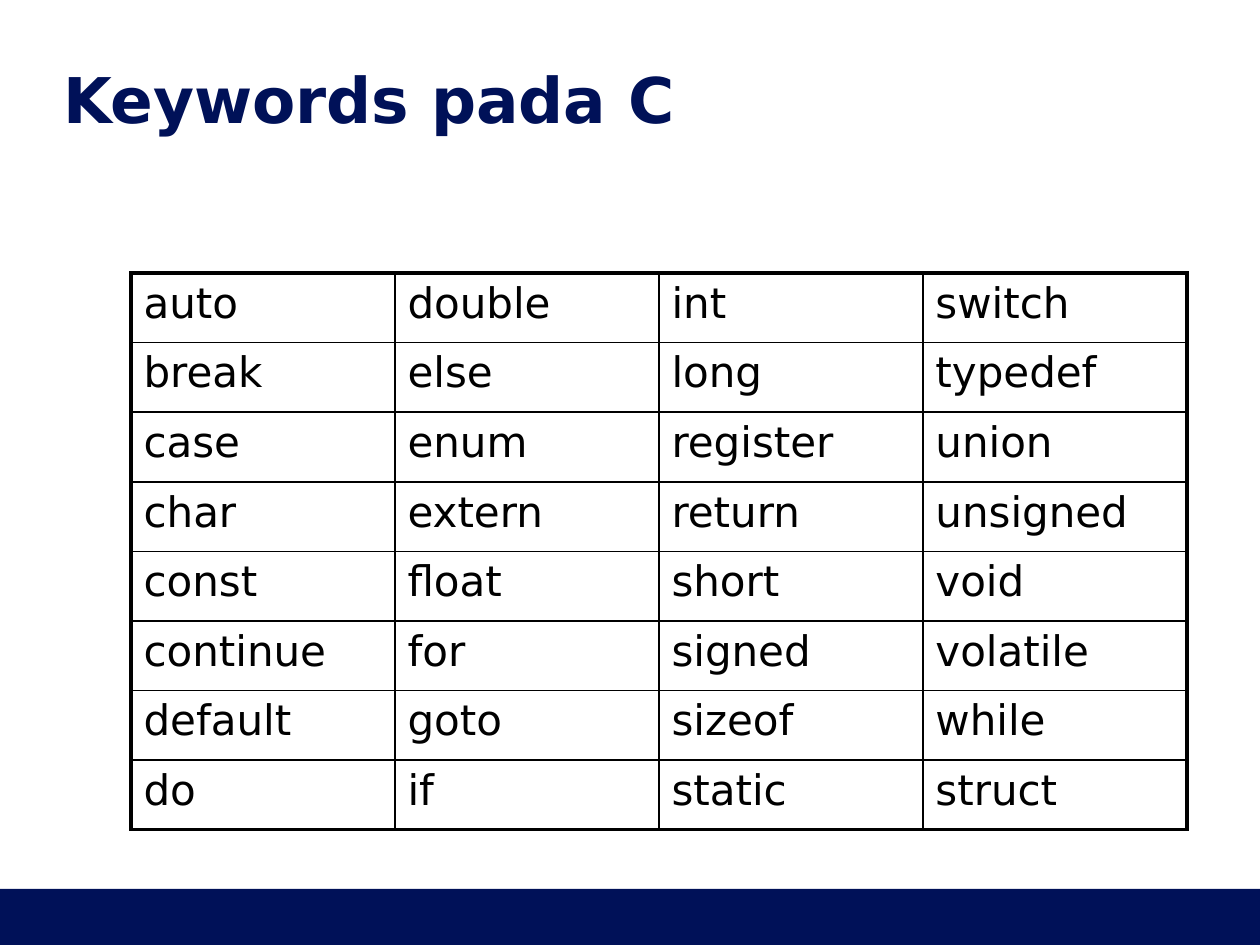
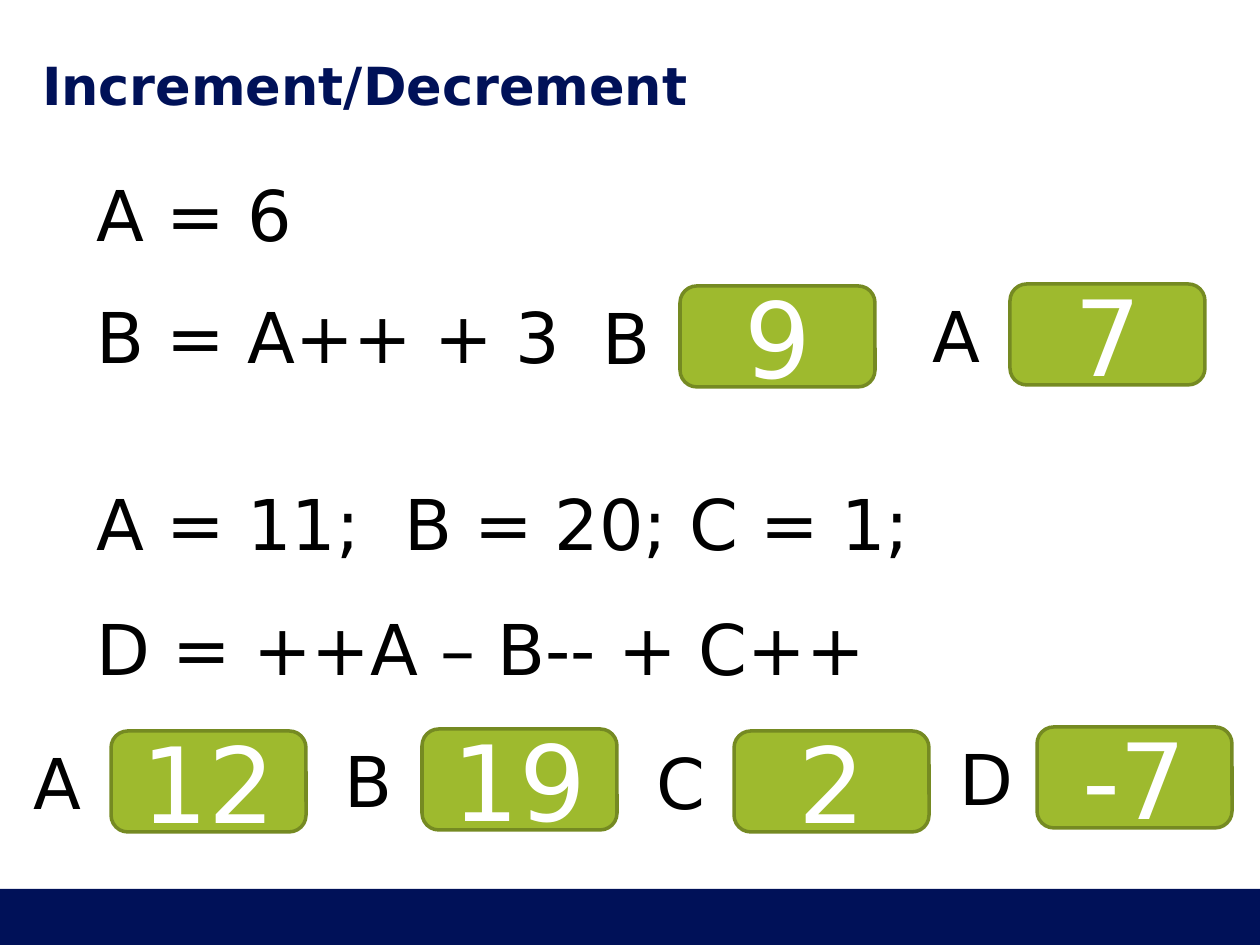
"""Build two slides on C: its keywords, and increment and decrement."""
from lxml.etree import SubElement
from pptx import Presentation
from pptx.dml.color import RGBColor
from pptx.enum.shapes import MSO_SHAPE
from pptx.enum.text import MSO_ANCHOR, MSO_AUTO_SIZE, PP_ALIGN
from pptx.oxml.ns import qn
from pptx.util import Emu, Pt

FONT = "DejaVu Sans"
NAVY, BLACK, WHITE = "001158", "000000", "FFFFFF"
GREEN, OLIVE = "9EBA2E", "758A22"
WIDE, HIGH = 1260, 945
BAND = (0, 889, WIDE, HIGH - 889)

WORDS = [
    ("auto", "double", "int", "switch"),
    ("break", "else", "long", "typedef"),
    ("case", "enum", "register", "union"),
    ("char", "extern", "return", "unsigned"),
    ("const", "float", "short", "void"),
    ("continue", "for", "signed", "volatile"),
    ("default", "goto", "sizeof", "while"),
    ("do", "if", "static", "struct"),
]
GRID = (131, 273, 1056, 557)
THIN, THICK = 1, 2.25

CODE_X, CODE_H = 84, 97
BOX_W, BOX_H = 195, 101
NAME_GAP, NAME_DROP = 90, 2
STEPS = [
    {
        "code": [("A = 6", 165, 227), ("B = A++ + 3", 287, 499)],
        "vars": [("B", "9", 680, 286), ("A", "7", 1010, 284)],
    },
    {
        "code": [("A = 11;  B = 20; C = 1;", 474, 890),
                 ("D = ++A – B-- + C++", 599, 833)],
        "vars": [("A", "12", 111, 731), ("B", "19", 422, 729),
                 ("C", "2", 734, 731), ("D", "-7", 1037, 727)],
    },
]


def px(num):
    """Turn pixels into EMU."""
    return Emu(round(num * 914400 / 126))


def place(box):
    """Turn a pixel box into EMU lengths."""
    return [px(num) for num in box]


def tint(code):
    """Give the colour of a hex string."""
    return RGBColor.from_string(code)


def write(frame, text, size, color, align=PP_ALIGN.LEFT, bold=False):
    """Put one styled run in the first paragraph of a frame."""
    para = frame.paragraphs[0]
    para.alignment = align
    run = para.add_run()
    run.text = text
    font = run.font
    font.name, font.size, font.bold = FONT, Pt(size), bold
    font.color.rgb = tint(color)


def add_band(deck, slide):
    """Draw the foot band and move it to the master."""
    band = slide.shapes.add_shape(MSO_SHAPE.RECTANGLE, *place(BAND))
    band.shadow.inherit = False
    band.fill.solid()
    band.fill.fore_color.rgb = tint(NAVY)
    band.line.fill.background()
    deck.slide_master.shapes.element.insert(2, band.element)


def add_page(deck, text, size, box):
    """Add a title-only slide with its title set."""
    slide = deck.slides.add_slide(deck.slide_layouts[5])
    title = slide.shapes.title
    title.left, title.top, title.width, title.height = place(box)
    frame = title.text_frame
    frame.margin_left = frame.margin_right = 0
    frame.margin_top = frame.margin_bottom = 0
    frame.vertical_anchor = MSO_ANCHOR.MIDDLE
    frame.auto_size = MSO_AUTO_SIZE.NONE
    write(frame, text, size, NAVY, bold=True)
    return slide


def edge(cell, sides):
    """Draw the cell borders, ahead of the cell fill."""
    props = cell._tc.get_or_add_tcPr()
    for spot, (side, width) in enumerate(sides):
        line = SubElement(props, qn(f"a:ln{side}"), w=str(Pt(width)))
        fill = SubElement(line, qn("a:solidFill"))
        SubElement(fill, qn("a:srgbClr"), val=BLACK)
        props.insert(spot, line)


def add_words(slide):
    """Add the keyword table with a thick outer frame."""
    rows, cols = len(WORDS), len(WORDS[0])
    table = slide.shapes.add_table(rows, cols, *place(GRID)).table
    table.first_row = table.horz_banding = False
    for r, words in enumerate(WORDS):
        for c, word in enumerate(words):
            cell = table.cell(r, c)
            cell.fill.background()
            write(cell.text_frame, word, 24, BLACK)
            outer = [("L", c == 0), ("R", c == cols - 1),
                     ("T", r == 0), ("B", r == rows - 1)]
            edge(cell, [(side, THICK if out else THIN) for side, out in outer])


def add_code(shapes, text, left, top, width):
    """Add one line of code text."""
    box = shapes.add_textbox(*place((left, top, width, CODE_H)))
    frame = box.text_frame
    frame.word_wrap = False
    frame.auto_size = MSO_AUTO_SIZE.SHAPE_TO_FIT_TEXT
    write(frame, text, 40, BLACK)


def add_value(shapes, text, left, top):
    """Add a green box that holds a value."""
    box = shapes.add_shape(MSO_SHAPE.ROUNDED_RECTANGLE,
                           *place((left, top, BOX_W, BOX_H)))
    box.shadow.inherit = False
    box.fill.solid()
    box.fill.fore_color.rgb = tint(GREEN)
    box.line.color.rgb = tint(OLIVE)
    box.line.width = Pt(2)
    box.text_frame.vertical_anchor = MSO_ANCHOR.MIDDLE
    write(box.text_frame, text, 60, WHITE, PP_ALIGN.CENTER)


def add_step(slide, step):
    """Add a group of code lines and the values they yield."""
    shapes = slide.shapes.add_group_shape().shapes
    for text, top, width in step["code"]:
        add_code(shapes, text, CODE_X, top, width)
    for name, value, left, top in step["vars"]:
        add_value(shapes, value, left, top)
        add_code(shapes, name, left - NAME_GAP, top + NAME_DROP,
                 79 if name == "D" else 74)


def main():
    """Build and save the deck."""
    deck = Presentation()
    deck.slide_width, deck.slide_height = px(WIDE), px(HIGH)
    first = add_page(deck, "Keywords pada C", 36, (63, 38, 1134, 120))
    add_band(deck, first)
    add_words(first)
    second = add_page(deck, "Increment/Decrement", 30, (42, 55, 1177, 59))
    for step in STEPS:
        add_step(second, step)
    deck.save("out.pptx")


if __name__ == "__main__":
    main()
